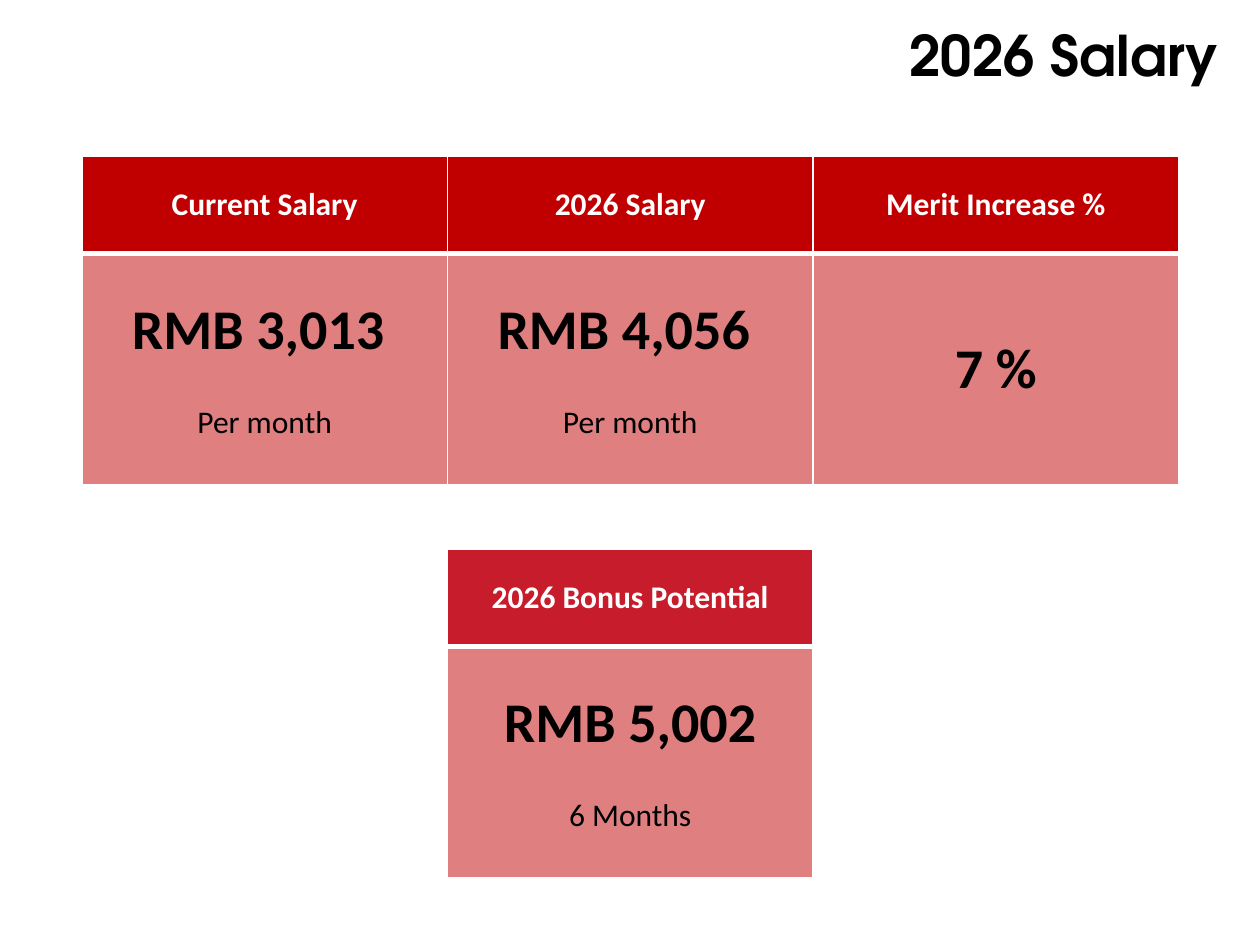
from dataclasses import dataclass

import pptx
import pptx.dml.color
import pptx.enum.text
import pptx.oxml
import pptx.oxml.ns
import pptx.util

Cm = pptx.util.Cm
Pt = pptx.util.Pt


@dataclass(frozen=True)
class Theme:
    title_font: str = "TeX Gyre Adventor"
    body_font: str = "Calibri"
    black: str = "000000"
    white: str = "FFFFFF"
    red: str = "C00000"
    crimson: str = "C61C2B"
    pink: str = "DF7F7F"
    large: int = 32
    small: int = 18
    thin: int = 1
    thick: int = 3


@dataclass(frozen=True)
class Card:
    column: int
    top: float
    heading: str
    amount: str
    note: str = ""
    head_fill: str = Theme.red
    body_fill: str = Theme.red
    body_opacity: int = 50


THEME = Theme()
LEFT, WIDTH = 1.65, 7.37
HEAD_HEIGHT, BODY_HEIGHT = 1.96, 4.67
SALARY_TOP, BONUS_TOP = 3.15, 11.07
NOTE_GAP = 22

CARDS = [
    Card(0, SALARY_TOP, "Current Salary", "RMB 3,013 ", "Per month"),
    Card(1, BONUS_TOP, "2026 Bonus Potential", "RMB 5,002", "6 Months",
         THEME.crimson, THEME.pink, 100),
    Card(1, SALARY_TOP, "2026 Salary", "RMB 4,056 ", "Per month"),
    Card(2, SALARY_TOP, "Merit Increase %", "7 %"),
]


def write(para, text: str, size: int, color: str, bold: bool = True,
          name: str = THEME.body_font,
          align=pptx.enum.text.PP_ALIGN.CENTER) -> None:
    para.alignment = align
    para.add_run().text = text
    para.font.name = name
    para.font.size = Pt(size)
    para.font.bold = bold
    para.font.color.rgb = pptx.dml.color.RGBColor.from_string(color)


def style_cell(cell, fill: str, borders: dict[str, int], opacity: int = 100) -> None:
    """Set white borders (side to points), then fill, and centre vertically."""
    properties = cell._tc.get_or_add_tcPr()
    for side, points in borders.items():
        properties.append(pptx.oxml.parse_xml(
            f'<a:ln{side} {pptx.oxml.ns.nsdecls("a")} w="{Pt(points)}">'
            f'<a:solidFill><a:srgbClr val="{THEME.white}"/></a:solidFill></a:ln{side}>'))
    cell.fill.solid()
    cell.fill.fore_color.rgb = pptx.dml.color.RGBColor.from_string(fill)
    if opacity < 100:
        color = properties.find(pptx.oxml.ns.qn("a:solidFill"))[0]
        color.append(pptx.oxml.parse_xml(
            f'<a:alpha {pptx.oxml.ns.nsdecls("a")} val="{opacity * 1000}"/>'))
    cell.vertical_anchor = pptx.enum.text.MSO_ANCHOR.MIDDLE


def draw_card(page, card: Card) -> None:
    table = page.shapes.add_table(
        2, 1, Cm(LEFT + card.column * WIDTH), Cm(card.top),
        Cm(WIDTH), Cm(HEAD_HEIGHT + BODY_HEIGHT)).table
    table.rows[0].height = Cm(HEAD_HEIGHT)
    table.rows[1].height = Cm(BODY_HEIGHT)
    head, body = table.cell(0, 0), table.cell(1, 0)
    thin = THEME.thin
    style_cell(head, card.head_fill,
               {"L": thin, "R": thin, "T": thin, "B": THEME.thick})
    style_cell(body, card.body_fill, {"L": thin, "R": thin, "B": thin},
               card.body_opacity)
    write(head.text_frame.paragraphs[0], card.heading, THEME.small, THEME.white)
    write(body.text_frame.paragraphs[0], card.amount, THEME.large, THEME.black)
    if card.note:
        para = body.text_frame.add_paragraph()
        para.space_before = Pt(NOTE_GAP)
        write(para, card.note, THEME.small, THEME.black, bold=False)


def draw_title(page, text: str) -> None:
    box = page.shapes.add_textbox(Cm(8.92), Cm(0.28), Cm(15.9), Cm(2.82))
    box.text_frame.word_wrap = True
    write(box.text_frame.paragraphs[0], text, THEME.large, THEME.black,
          name=THEME.title_font, align=pptx.enum.text.PP_ALIGN.RIGHT)


def main() -> None:
    deck = pptx.Presentation()
    deck.slide_width, deck.slide_height = Cm(25.4), Cm(19.05)
    page = deck.slides.add_slide(deck.slide_layouts[6])
    draw_title(page, "2026 Salary")
    for card in CARDS:
        draw_card(page, card)
    deck.save("out.pptx")


if __name__ == "__main__":
    main()
